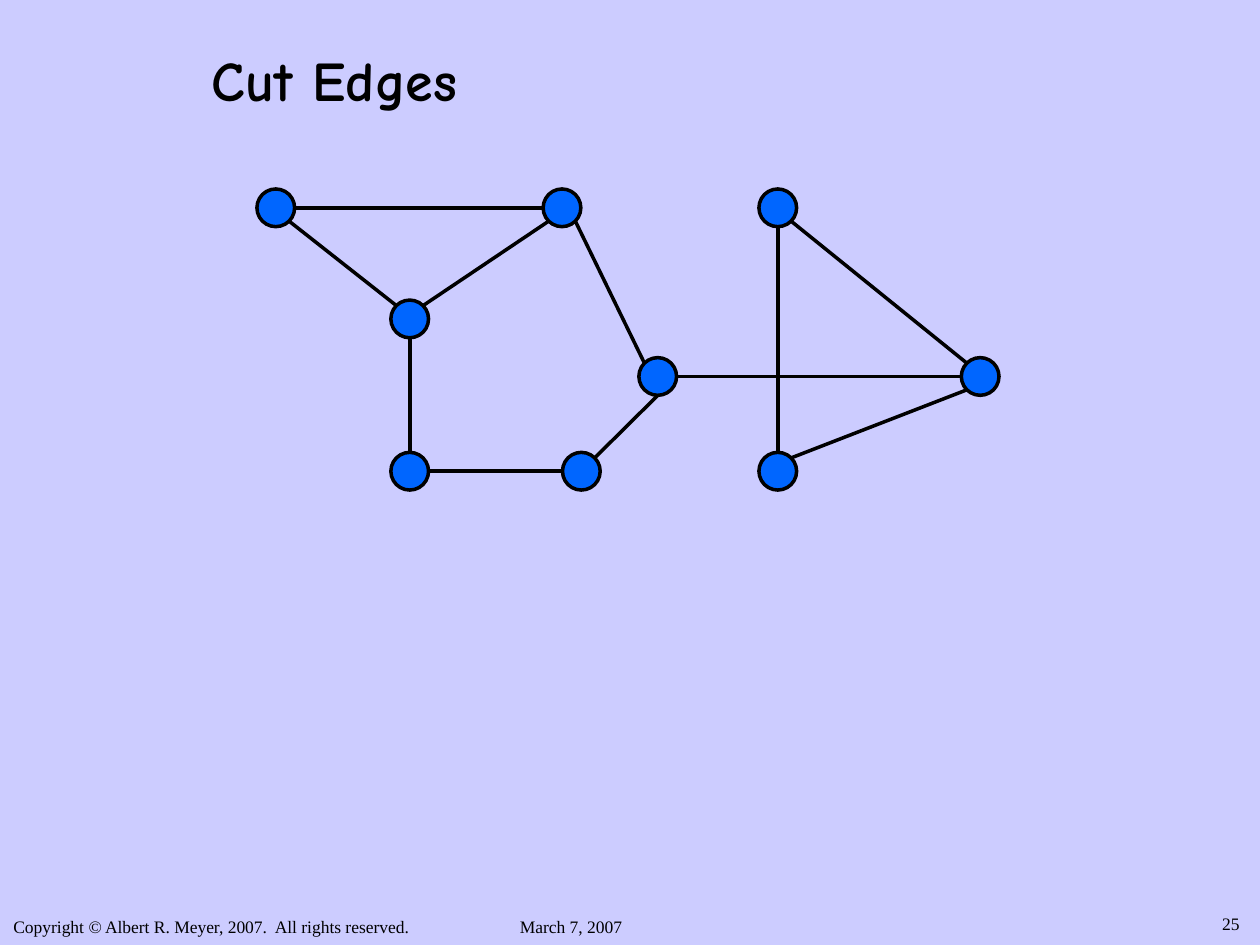
import math
from dataclasses import dataclass

from lxml import etree
from pptx import Presentation
from pptx import util as u
from pptx.dml.color import RGBColor
from pptx.enum import shapes, text
from pptx.oxml.ns import qn


@dataclass(frozen=True)
class Theme:
    background: RGBColor = RGBColor(0xCC, 0xCC, 0xFF)
    ink: RGBColor = RGBColor(0, 0, 0)
    node: RGBColor = RGBColor(0x00, 0x66, 0xFF)
    title_font: str = "Comic Neue"
    small_font: str = "Times New Roman"
    title_size: int = 32
    small_size: int = 10
    stroke: int = 2
    diameter: float = 0.76


# Compass points on a node's rim, as angles in degrees (y runs downwards)
RIM = {name: 45 * step for step, name in
       enumerate(["E", "SE", "S", "SW", "W", "NW", "N", "NE"])}

# Node centres in cm
TOP, BOTTOM, MIDDLE = 4.19, 9.5, 7.59
NODES = {
    "top left": (5.56, TOP),
    "inner": (8.26, 6.43),
    "top mid": (11.33, TOP),
    "bottom left": (8.26, BOTTOM),
    "bridge left": (13.26, MIDDLE),
    "bottom mid": (11.72, BOTTOM),
    "top right": (15.68, TOP),
    "bottom right": (15.68, BOTTOM),
    "bridge right": (19.76, MIDDLE),
}

# Start node, rim point, end node, rim point
EDGES = [
    ("top left", "SE", "inner", "NW"),
    ("inner", "NE", "top mid", "SW"),
    ("top mid", "W", "top left", "E"),
    ("inner", "S", "bottom left", "N"),
    ("bottom left", "E", "bottom mid", "W"),
    ("bottom mid", "NE", "bridge left", "S"),
    ("bridge right", "SW", "bottom right", "NE"),
    ("top right", "SE", "bridge right", "NW"),
    ("top right", "S", "bottom right", "N"),
    ("bridge left", "E", "bridge right", "W"),
    ("top mid", "SE", "bridge left", "NW"),
]


class GraphSlide:
    def __init__(self, page, theme):
        self.page = page
        self.theme = theme
        fill = page.background.fill
        fill.solid()
        fill.fore_color.rgb = theme.background

    def label(self, area, spans, font, size, bold=False, wrap=True,
              align=text.PP_ALIGN.LEFT, anchor=text.MSO_ANCHOR.TOP):
        box = self.page.shapes.add_textbox(*map(u.Cm, area))
        frame = box.text_frame
        frame.word_wrap = wrap
        frame.vertical_anchor = anchor
        para = frame.paragraphs[0]
        para.alignment = align
        for words, italic in spans:
            span = para.add_run()
            span.text = words
            span.font.name = font
            span.font.size = u.Pt(size)
            span.font.bold = bold
            span.font.italic = italic
            span.font.color.rgb = self.theme.ink

    def title(self, area, words):
        self.label(area, [(words, False)], self.theme.title_font,
                   self.theme.title_size, bold=True,
                   anchor=text.MSO_ANCHOR.MIDDLE)

    def footer(self, area, spans, **options):
        self.label(area, spans, self.theme.small_font,
                   self.theme.small_size, **options)

    def outline(self, line):
        line.color.rgb = self.theme.ink
        line.width = u.Pt(self.theme.stroke)

    def node(self, centre):
        size = self.theme.diameter
        left, top = (u.Cm(value - size / 2) for value in centre)
        dot = self.page.shapes.add_shape(
            shapes.MSO_SHAPE.OVAL, left, top, u.Cm(size), u.Cm(size))
        dot.shadow.inherit = False
        dot.fill.solid()
        dot.fill.fore_color.rgb = self.theme.node
        self.outline(dot.line)

    def rim_point(self, name, side):
        x, y = NODES[name]
        angle = math.radians(RIM[side])
        radius = self.theme.diameter / 2
        return (u.Cm(x + radius * math.cos(angle)),
                u.Cm(y + radius * math.sin(angle)))

    def edge(self, start, start_side, end, end_side):
        line = self.page.shapes.add_connector(
            shapes.MSO_CONNECTOR.STRAIGHT,
            *self.rim_point(start, start_side),
            *self.rim_point(end, end_side))
        self.outline(line.line)
        etree.SubElement(line._element.spPr, qn("a:effectLst"))


def main():
    deck = Presentation()
    deck.slide_width, deck.slide_height = u.Cm(25.4), u.Cm(19.05)
    slide = GraphSlide(deck.slides.add_slide(deck.slide_layouts[6]), Theme())

    # Date and copyright
    slide.footer((10.23, 18.34, 2.57, 0.69), [("March 7, 2007", False)],
                 wrap=False)
    slide.footer((0.02, 18.34, 8.53, 0.69),
                 [("Copyright ", False), ("©", True),
                  (" Albert R. Meyer, 2007.  All rights reserved.", False)],
                 wrap=False)

    # Title
    slide.title((4.02, 0, 20.96, 3.18), "Cut Edges")

    # Graph
    for centre in NODES.values():
        slide.node(centre)
    for edge in EDGES:
        slide.edge(*edge)

    # Page number
    slide.footer((21.13, 18.29, 4.11, 0.69), [("25", False)],
                 align=text.PP_ALIGN.RIGHT)

    deck.save("out.pptx")


if __name__ == "__main__":
    main()
